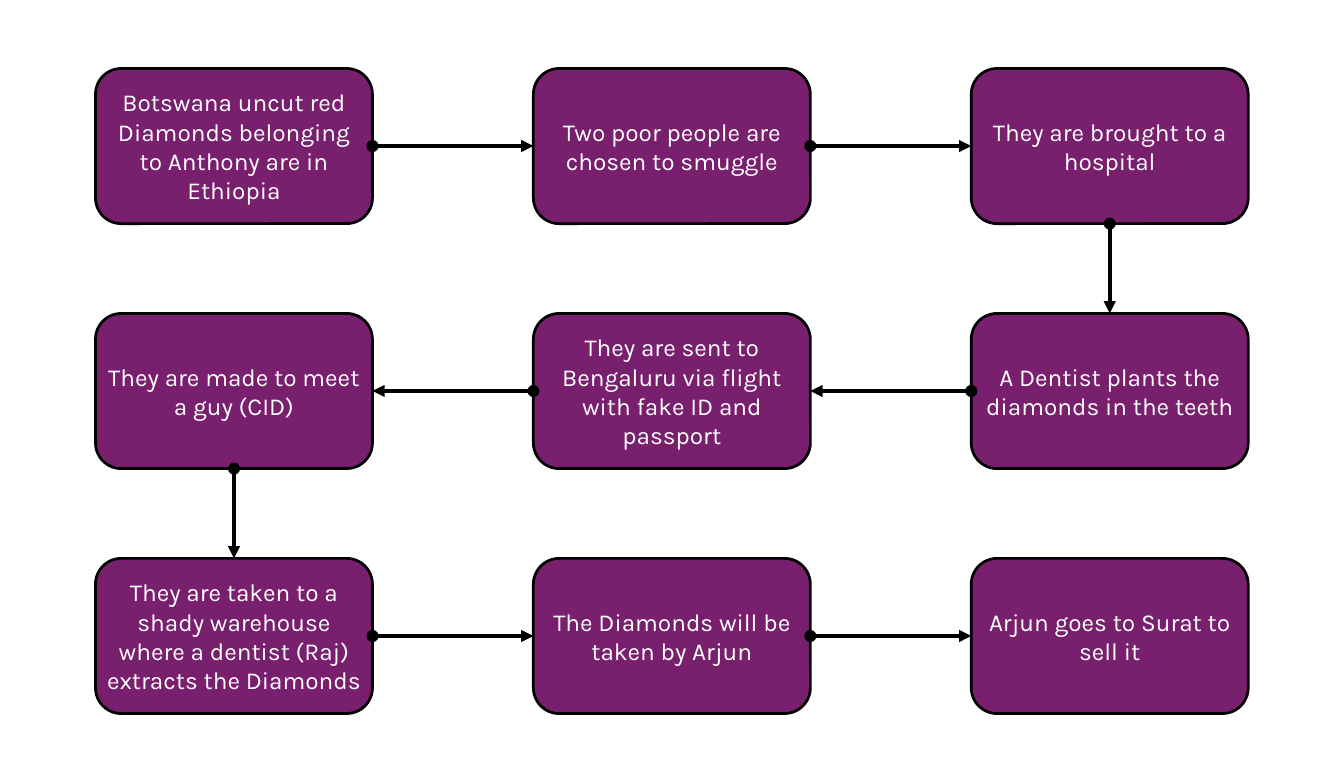
from dataclasses import dataclass
from itertools import pairwise

from lxml.etree import SubElement
from pptx import Presentation
from pptx.dml.color import RGBColor
from pptx.enum.shapes import MSO_CONNECTOR, MSO_SHAPE
from pptx.enum.text import MSO_ANCHOR, PP_ALIGN
from pptx.oxml.ns import qn
from pptx.util import Pt


@dataclass(frozen=True)
class Theme:
    box_fill: RGBColor = RGBColor(0x78, 0x20, 0x6E)
    ink: RGBColor = RGBColor(0x00, 0x00, 0x00)
    text: RGBColor = RGBColor(0xFF, 0xFF, 0xFF)
    font: str = "Karla"
    text_size: float = 18
    outline_width: float = 2
    arrow_width: float = 3


@dataclass(frozen=True)
class Box:
    left: float
    top: float
    width: float
    height: float


THEME = Theme()
PAGE_WIDTH, PAGE_HEIGHT = 992.16, 566.64
FLOW_AREA = Box(70.5, 50.5, 851, 476)
COLUMNS, ROWS = 3, 3
STEP_WIDTH, STEP_HEIGHT = 204.5, 114.5
CORNER_RADIUS = 19
TEXT_MARGIN = 2
TOP, LEFT, BOTTOM, RIGHT = range(4)

STEPS = [
    "Botswana uncut red Diamonds belonging to Anthony are in Ethiopia",
    "Two poor people are chosen to smuggle",
    "They are brought to a hospital",
    "A Dentist plants the diamonds in the teeth",
    "They are sent to Bengaluru via flight with fake ID and passport",
    "They are made to meet a guy (CID)",
    "They are taken to a shady warehouse where a dentist (Raj) extracts the Diamonds",
    "The Diamonds will be taken by Arjun",
    "Arjun goes to Surat to sell it",
]


def add_step(page, box, text):
    step = page.shapes.add_shape(
        MSO_SHAPE.ROUNDED_RECTANGLE, Pt(box.left), Pt(box.top), Pt(box.width), Pt(box.height)
    )
    step.adjustments[0] = CORNER_RADIUS / min(box.width, box.height)
    step.shadow.inherit = False
    step.fill.solid()
    step.fill.fore_color.rgb = THEME.box_fill
    step.line.color.rgb = THEME.ink
    step.line.width = Pt(THEME.outline_width)
    frame = step.text_frame
    frame.word_wrap = True
    frame.vertical_anchor = MSO_ANCHOR.MIDDLE
    frame.margin_left = frame.margin_right = Pt(TEXT_MARGIN)
    frame.text = text
    para = frame.paragraphs[0]
    para.alignment = PP_ALIGN.CENTER
    for span in para.runs:
        span.font.name = THEME.font
        span.font.size = Pt(THEME.text_size)
        span.font.color.rgb = THEME.text
    return step


def add_arrow(page, source, target, source_side, target_side):
    arrow = page.shapes.add_connector(MSO_CONNECTOR.STRAIGHT, 0, 0, 0, 0)
    arrow.begin_connect(source, source_side)
    arrow.end_connect(target, target_side)
    arrow.line.color.rgb = THEME.ink
    arrow.line.width = Pt(THEME.arrow_width)
    properties = arrow._element.spPr
    line = properties.find(qn("a:ln"))
    SubElement(line, qn("a:headEnd"), type="oval")
    SubElement(line, qn("a:tailEnd"), type="triangle")
    SubElement(properties, qn("a:effectLst"))


def add_snake_flow(page, area):
    pitch_x = (area.width - STEP_WIDTH) / (COLUMNS - 1)
    pitch_y = (area.height - STEP_HEIGHT) / (ROWS - 1)
    placed = []
    for index, text in enumerate(STEPS):
        row, column = divmod(index, COLUMNS)
        if row % 2:
            column = COLUMNS - 1 - column
        box = Box(area.left + column * pitch_x, area.top + row * pitch_y, STEP_WIDTH, STEP_HEIGHT)
        placed.append((row, add_step(page, box, text)))
    for (row, source), (next_row, target) in pairwise(placed):
        if next_row != row:
            sides = BOTTOM, TOP
        elif row % 2:
            sides = LEFT, RIGHT
        else:
            sides = RIGHT, LEFT
        add_arrow(page, source, target, *sides)


def main():
    deck = Presentation()
    deck.slide_width, deck.slide_height = Pt(PAGE_WIDTH), Pt(PAGE_HEIGHT)
    page = deck.slides.add_slide(deck.slide_layouts[6])
    add_snake_flow(page, FLOW_AREA)
    deck.save("out.pptx")


if __name__ == "__main__":
    main()
